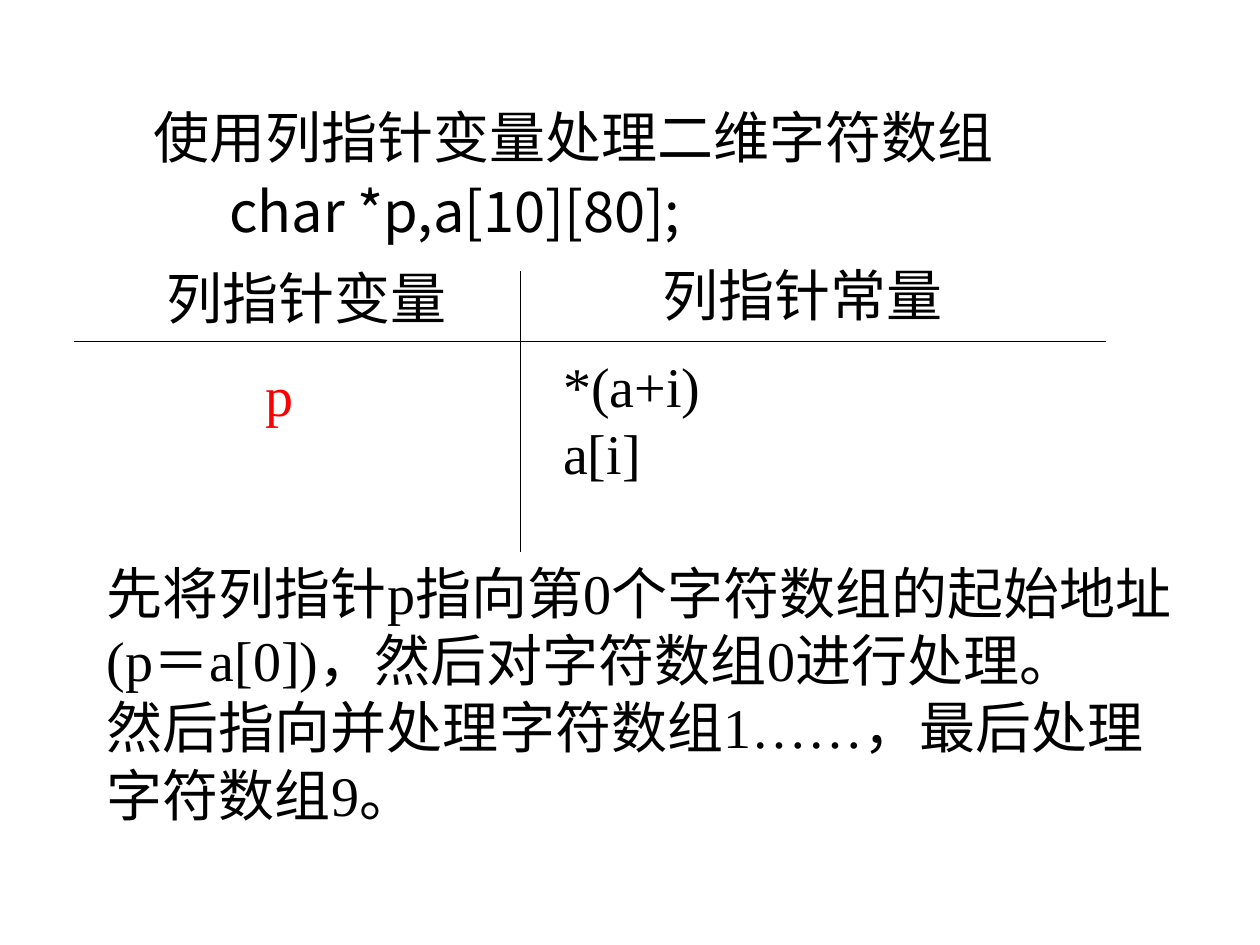
from dataclasses import dataclass

from lxml.etree import SubElement
from pptx import Presentation
from pptx.dml.color import RGBColor
from pptx.enum.shapes import MSO_CONNECTOR
from pptx.enum.text import MSO_AUTO_SIZE
from pptx.oxml.ns import qn
from pptx.slide import Slide
from pptx.util import Inches, Pt


@dataclass(frozen=True)
class Theme:
    ink: RGBColor = RGBColor(0, 0, 0)
    accent: RGBColor = RGBColor(255, 0, 0)
    latin: str = "Times New Roman"
    chinese: str = "Noto Sans CJK SC"
    size: Pt = Pt(32)
    leading: Pt = Pt(38.5)
    rule: Pt = Pt(1)


THEME = Theme()


@dataclass(frozen=True)
class Passage:
    left: float
    top: float
    width: float
    height: float
    lines: tuple[str, ...]
    color: RGBColor = THEME.ink
    latin: str = THEME.latin
    wrap: bool = False
    grow: bool = True
    gap: float = 0
    later_indent: float = 0


@dataclass(frozen=True)
class Rule:
    start: tuple[float, float]
    end: tuple[float, float]


PASSAGES = (
    Passage(1.12, 0.76, 8.14, 2.05,
            ("使用列指针变量处理二维字符数组", "char *p,a[10][80];"),
            latin=THEME.chinese, wrap=True, grow=False, gap=4, later_indent=0.6),
    Passage(1.22, 2.04, 2.44, 0.64, ("列指针变量",)),
    Passage(5.16, 2.02, 2.44, 0.64, ("列指针常量",)),
    Passage(2.01, 2.81, 0.42, 0.64, ("p",), color=THEME.accent),
    Passage(4.37, 2.74, 1.29, 1.17, ("*(a+i)", "a[i]")),
    Passage(0.75, 4.38, 8.82, 2.24,
            ("先将列指针p指向第0个字符数组的起始地址(p＝a[0])，然后对字符数组0进行处理。",
             "然后指向并处理字符数组1……，最后处理字符数组9。"), wrap=True),
)
RULES = (Rule((0.59, 2.71), (8.78, 2.71)), Rule((4.13, 2.15), (4.13, 4.38)))


def draw_rule(slide: Slide, rule: Rule) -> None:
    """Draw one line of the comparison grid."""
    line = slide.shapes.add_connector(
        MSO_CONNECTOR.STRAIGHT, *map(Inches, rule.start + rule.end))
    line.line.color.rgb = THEME.ink
    line.line.width = THEME.rule
    SubElement(line._element.spPr, qn("a:effectLst"))


def draw_passage(slide: Slide, passage: Passage) -> None:
    """Place a text box with one paragraph per line of the passage."""
    frame = slide.shapes.add_textbox(
        Inches(passage.left), Inches(passage.top),
        Inches(passage.width), Inches(passage.height)).text_frame
    frame.word_wrap = passage.wrap
    frame.auto_size = (MSO_AUTO_SIZE.SHAPE_TO_FIT_TEXT if passage.grow
                       else MSO_AUTO_SIZE.NONE)
    frame.text = "\n".join(passage.lines)
    for index, paragraph in enumerate(frame.paragraphs):
        paragraph.line_spacing = THEME.leading
        paragraph.space_before = Pt(passage.gap)
        paragraph.font.size = THEME.size
        paragraph.font.color.rgb = passage.color
        paragraph.font.name = passage.latin
        properties = paragraph._p.get_or_add_pPr()
        properties.set("hangingPunct", "0")
        SubElement(properties.find(qn("a:defRPr")), qn("a:ea"),
                   typeface=THEME.chinese)
        if index and passage.later_indent:
            properties.set("marL", str(Inches(passage.later_indent)))


def main() -> None:
    """Build and save the slide on column pointers."""
    deck = Presentation()
    deck.slide_width, deck.slide_height = Inches(10), Inches(7.5)
    slide = deck.slides.add_slide(deck.slide_layouts[6])
    for rule in RULES:
        draw_rule(slide, rule)
    for passage in PASSAGES:
        draw_passage(slide, passage)
    deck.save("out.pptx")


if __name__ == "__main__":
    main()
